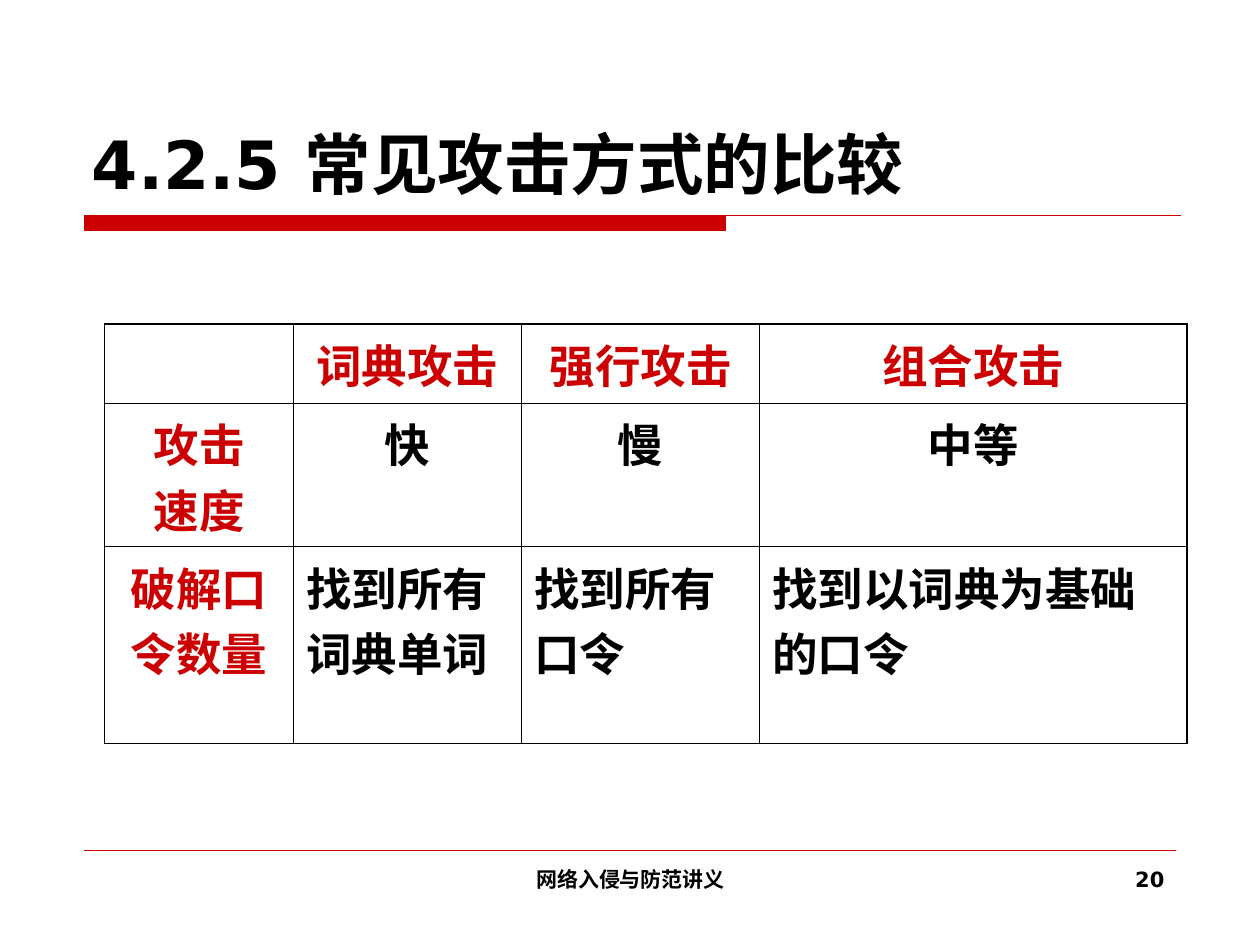
from dataclasses import dataclass

from lxml import etree
from pptx import Presentation
from pptx.dml.color import RGBColor
from pptx.enum.shapes import MSO_CONNECTOR
from pptx.enum.text import MSO_ANCHOR, PP_ALIGN
from pptx.oxml.ns import qn
from pptx.util import Inches, Pt

LEFT, CENTER, RIGHT = PP_ALIGN.LEFT, PP_ALIGN.CENTER, PP_ALIGN.RIGHT
TOP, BOTTOM = MSO_ANCHOR.TOP, MSO_ANCHOR.BOTTOM
STRAIGHT = MSO_CONNECTOR.STRAIGHT

COLORS = {"black": "000000", "red": "CC0000"}
SANS, SERIF = "DejaVu Sans", "Times New Roman"
COL_WIDTHS = [1.5, 1.81, 1.89, 3.39]
ROW_HEIGHTS = [0.63, 1.14, 1.56]
THICK, THIN = 1.08, 0.45


@dataclass
class Label:
    text: str
    left: float
    top: float
    width: float
    height: float
    size: float
    align: PP_ALIGN
    anchor: MSO_ANCHOR = TOP


@dataclass
class Entry:
    text: str = ""
    color: str = "black"
    align: PP_ALIGN = CENTER
    font: str = SERIF


LABELS = [
    Label("4.2.5 常见攻击方式的比较", 0.63, 0.33, 8.75, 1.33, 38, LEFT, BOTTOM),
    Label("网络入侵与防范讲义", 3.42, 6.83, 3.17, 0.52, 12, CENTER),
    Label("20", 7.17, 6.83, 2.17, 0.52, 12, RIGHT),
]

ENTRIES = [
    [Entry(), Entry("词典攻击", "red"), Entry("强行攻击", "red"),
     Entry("组合攻击", "red")],
    [Entry("攻击\n速度", "red"), Entry("快"), Entry("慢"), Entry("中等")],
    [Entry("破解口令数量", "red"), Entry("找到所有词典单词", align=LEFT),
     Entry("找到所有口令", align=LEFT, font=SANS),
     Entry("找到以词典为基础的口令", align=LEFT)],
]


def rgb(name: str) -> RGBColor:
    return RGBColor.from_string(COLORS[name])


def write(tf, text: str, *, size: float, font: str = SANS,
          color: str = "black", align: PP_ALIGN = LEFT) -> None:
    """Fill a text frame, one paragraph for each line."""
    for i, line in enumerate(text.split("\n")):
        p = tf.add_paragraph() if i else tf.paragraphs[0]
        p.alignment = align
        r = p.add_run()
        r.text = line
        r.font.size, r.font.name, r.font.bold = Pt(size), font, True
        r.font.color.rgb = rgb(color)


def add_label(s, label: Label) -> None:
    sp = s.shapes.add_textbox(Inches(label.left), Inches(label.top),
                              Inches(label.width), Inches(label.height))
    tf = sp.text_frame
    tf.word_wrap = True
    tf.vertical_anchor = label.anchor
    write(tf, label.text, size=label.size, align=label.align)


def add_title_rule(s) -> None:
    """Thick bar whose top edge runs on as a thin line."""
    left, top, bar_right, bottom, right = map(
        Inches, (0.67, 1.71, 5.76, 1.83, 9.37))
    fb = s.shapes.build_freeform(left, top)
    fb.add_line_segments([(right, top), (bar_right, top),
                          (bar_right, bottom), (left, bottom)], close=True)
    sp = fb.convert_to_shape()
    sp.shadow.inherit = False
    sp.fill.solid()
    sp.fill.fore_color.rgb = rgb("red")
    sp.line.color.rgb = rgb("red")
    sp.line.width = Pt(0.75)


def add_footer_rule(s) -> None:
    sp = s.shapes.add_connector(STRAIGHT, Inches(0.67), Inches(6.75),
                                Inches(9.33), Inches(6.75))
    sp.line.color.rgb = rgb("red")
    sp.line.width = Pt(0.25)
    etree.SubElement(sp._element.spPr, qn("a:effectLst"))


def set_borders(cell, widths: dict[str, float]) -> None:
    tcPr = cell._tc.get_or_add_tcPr()
    for side, width in widths.items():
        ln = etree.SubElement(tcPr, qn(f"a:ln{side}"), w=str(Pt(width)))
        fill = etree.SubElement(ln, qn("a:solidFill"))
        etree.SubElement(fill, qn("a:srgbClr"), val=COLORS["black"])


def add_comparison_table(s) -> None:
    rows, cols = len(ROW_HEIGHTS), len(COL_WIDTHS)
    table = s.shapes.add_table(
        rows, cols, Inches(0.83), Inches(2.57),
        Inches(sum(COL_WIDTHS)), Inches(sum(ROW_HEIGHTS))).table
    table.first_row = table.horz_banding = False
    for col, width in zip(table.columns, COL_WIDTHS):
        col.width = Inches(width)
    for row, height in zip(table.rows, ROW_HEIGHTS):
        row.height = Inches(height)

    for i, line in enumerate(ENTRIES):
        for j, entry in enumerate(line):
            cell = table.cell(i, j)
            # Thick outer frame, thin inner grid
            outer = {"L": j == 0, "R": j == cols - 1,
                     "T": i == 0, "B": i == rows - 1}
            set_borders(cell, {side: THICK if edge else THIN
                               for side, edge in outer.items()})
            cell.fill.background()
            if entry.text:
                write(cell.text_frame, entry.text, size=26, font=entry.font,
                      color=entry.color, align=entry.align)


def main() -> None:
    prs = Presentation()
    prs.slide_width, prs.slide_height = Inches(10), Inches(7.5)
    s = prs.slides.add_slide(prs.slide_layouts[6])

    # Rules, title and footer
    add_title_rule(s)
    add_footer_rule(s)
    for label in LABELS:
        add_label(s, label)

    # Attack comparison
    add_comparison_table(s)
    prs.save("out.pptx")


if __name__ == "__main__":
    main()
